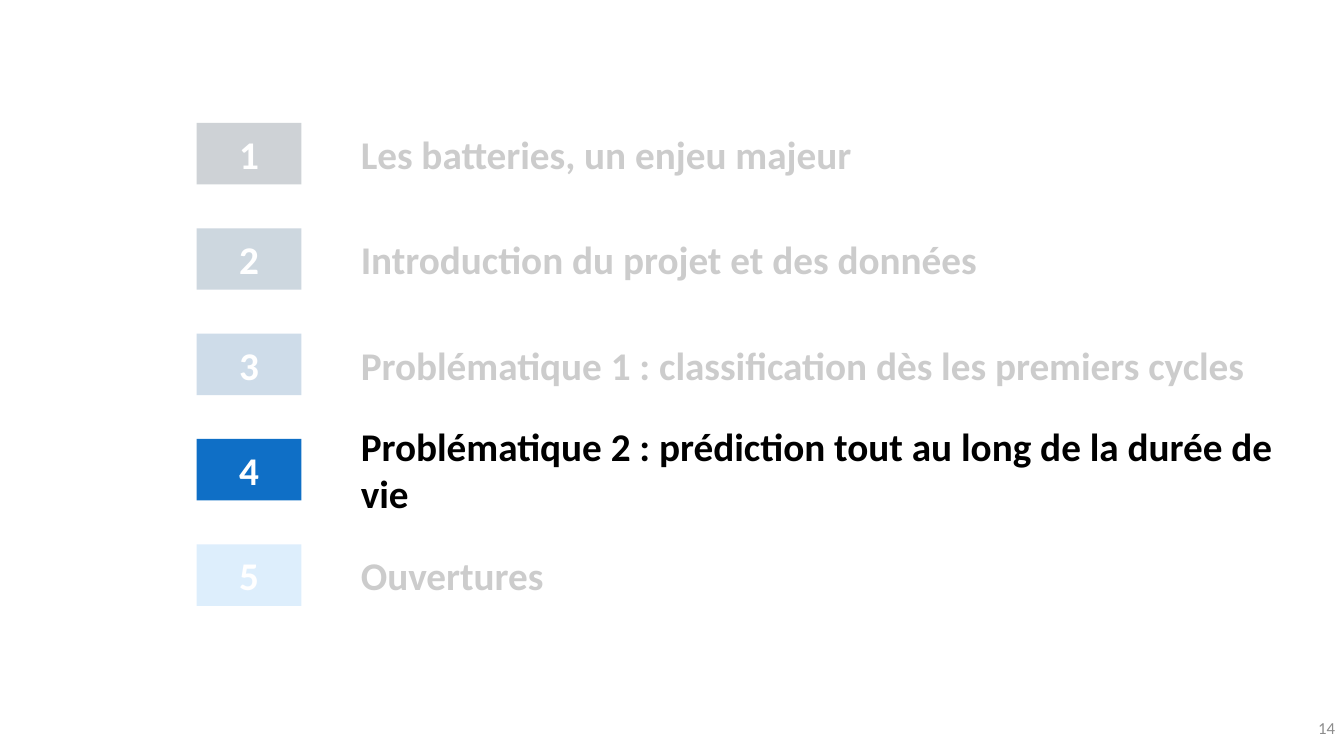
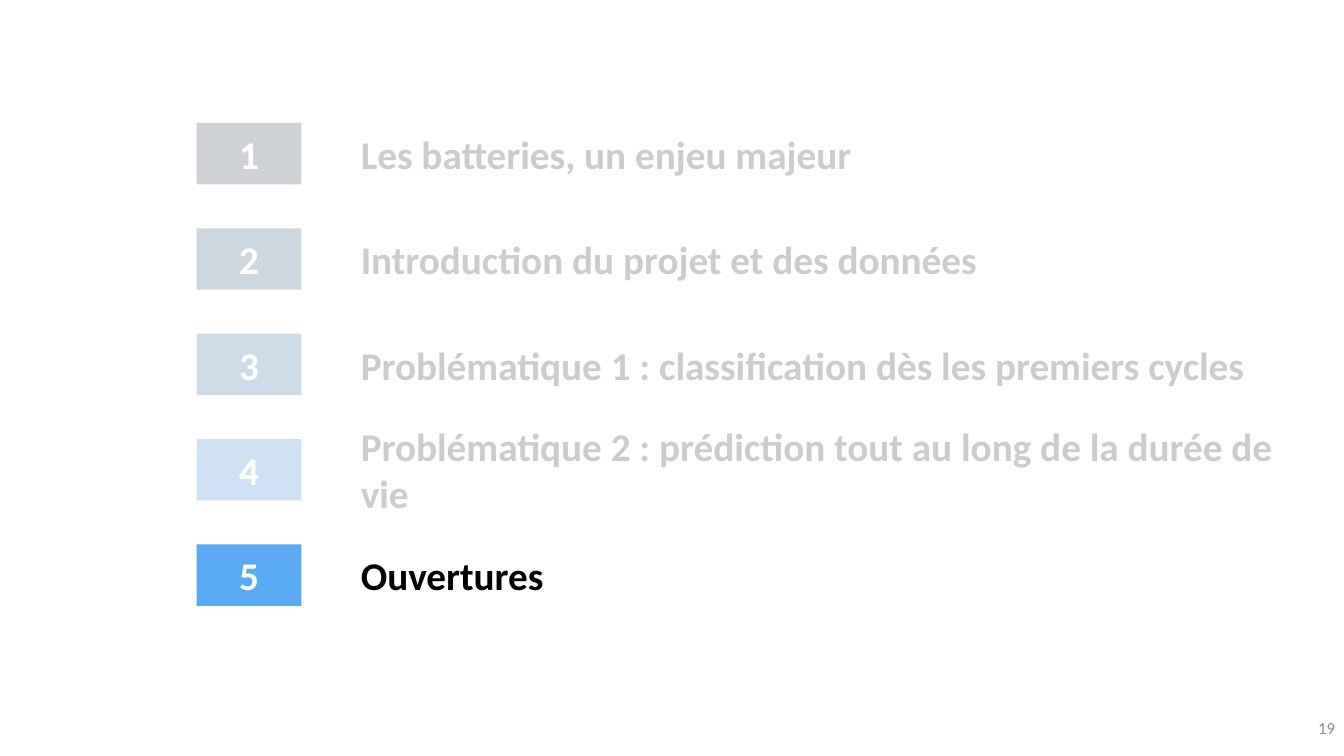
from lxml import etree
from pptx import Presentation
from pptx.dml.color import RGBColor
from pptx.enum.shapes import MSO_SHAPE
from pptx.enum.text import MSO_ANCHOR, PP_ALIGN
from pptx.oxml.ns import qn
from pptx.util import Inches, Pt

RECTANGLE = MSO_SHAPE.RECTANGLE
MIDDLE = MSO_ANCHOR.MIDDLE
LEFT, CENTER, RIGHT = PP_ALIGN.LEFT, PP_ALIGN.CENTER, PP_ALIGN.RIGHT

# Content: chapter title, badge colour, title width
CHAPTERS = [
    ("Les batteries, un enjeu majeur", "navy", 8.52),
    ("Introduction du projet et des données", "deep", 8.52),
    ("Problématique 1 : classification dès les premiers cycles", "royal", 9.09),
    ("Problématique 2 : prédiction tout au long de la durée de vie", "blue", 9.48),
    ("Ouvertures", "sky", 8.52),
]
# Page number, then (top, height) of each veil over the inactive chapters
AGENDAS = [
    ("14", [(5.26, 1.23), (0.93, 3.2)]),
    ("19", [(0.93, 4.32)]),
]

# Shared style
COLORS = {
    "navy": "0C2036", "deep": "083763", "royal": "0B5394", "blue": "0F6FC6",
    "sky": "59AAF2", "white": "FFFFFF", "black": "000000", "gray": "8C8C8C",
}
HEADING = {"name": "Calibri", "size": Pt(28), "bold": True}
FOOTER = {"name": "Calibri", "size": Pt(12), "bold": False}

# Layout, in inches
BADGE_LEFT, BADGE_WIDTH = 1.95, 1.04
TITLE_LEFT = 3.48
FIRST_TOP, ROW_HEIGHT, ROW_PITCH = 1.22, 0.61, 1.045
VEIL_LEFT, VEIL_WIDTH, VEIL_OPACITY = 1.4, 11.56, 80
PAGE_BOX = (12.72, 7.02, 0.62, 0.4)


def color(name):
    return RGBColor.from_string(COLORS[name])


def write(shape, text, style, color_name, align):
    frame = shape.text_frame
    frame.word_wrap = True
    frame.vertical_anchor = MIDDLE
    paragraph = frame.paragraphs[0]
    paragraph.alignment = align
    run = paragraph.add_run()
    run.text = text
    for attribute, value in style.items():
        setattr(run.font, attribute, value)
    run.font.color.rgb = color(color_name)


def add_text(slide, box, *text_format):
    write(slide.shapes.add_textbox(*map(Inches, box)), *text_format)


def add_block(slide, box, fill):
    block = slide.shapes.add_shape(RECTANGLE, *map(Inches, box))
    block.shadow.inherit = False
    block.fill.solid()
    block.fill.fore_color.rgb = color(fill)
    block.line.fill.background()
    return block


def add_veil(slide, top, height):
    veil = add_block(slide, (VEIL_LEFT, top, VEIL_WIDTH, height), "white")
    tint = veil.fill._xPr.find(qn("a:solidFill"))[0]
    etree.SubElement(tint, qn("a:alpha")).set("val", str(VEIL_OPACITY * 1000))


def add_agenda(prs, page, veils):
    slide = prs.slides.add_slide(prs.slide_layouts[6])
    add_text(slide, PAGE_BOX, page, FOOTER, "gray", RIGHT)

    # Numbered chapters
    for index, (title, fill, width) in enumerate(CHAPTERS):
        top = FIRST_TOP + index * ROW_PITCH
        badge = add_block(slide, (BADGE_LEFT, top, BADGE_WIDTH, ROW_HEIGHT), fill)
        write(badge, str(index + 1), HEADING, "white", CENTER)
        add_text(slide, (TITLE_LEFT, top, width, ROW_HEIGHT),
                 title, HEADING, "black", LEFT)

    # Veils leave only the current chapter bright
    for top, height in veils:
        add_veil(slide, top, height)


def main():
    prs = Presentation()
    prs.slide_width, prs.slide_height = Inches(13.33), Inches(7.5)
    for page, veils in AGENDAS:
        add_agenda(prs, page, veils)
    prs.save("out.pptx")


if __name__ == "__main__":
    main()
